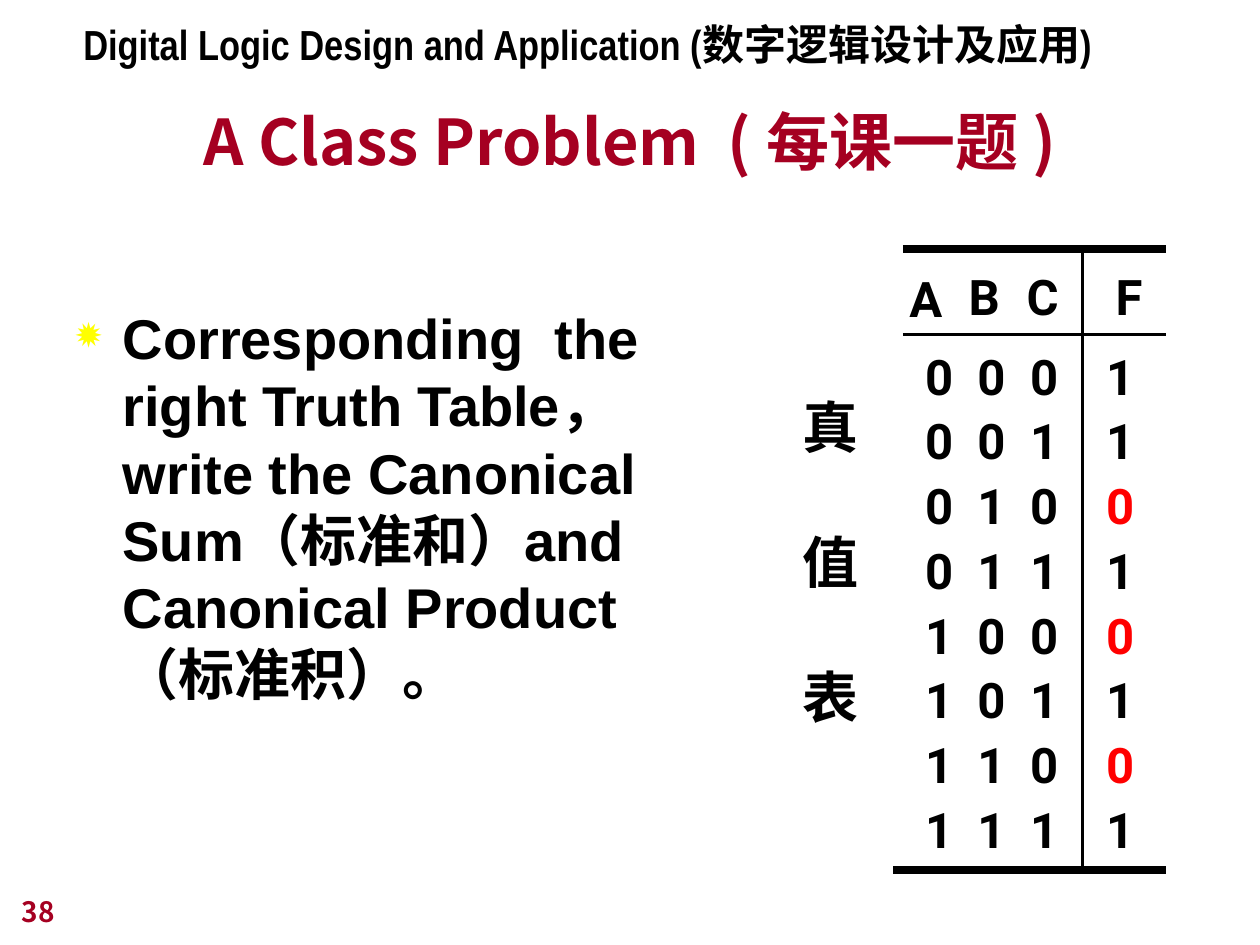
"""Build a class-problem slide with a truth table."""
from lxml.etree import SubElement
from pptx import Presentation
from pptx.dml.color import RGBColor
from pptx.enum.shapes import MSO_CONNECTOR
from pptx.enum.text import MSO_ANCHOR, PP_ALIGN
from pptx.oxml.ns import qn
from pptx.util import Pt

COLORS = {"black": "000000", "title": "A50021", "zero": "FF0000", "bullet": "FFFF00"}
CJK = "Noto Sans CJK JP"

COURSE = "Digital Logic Design and Application (数字逻辑设计及应用)"
TITLE = "A Class Problem  ( 每课一题 )"
TASK = ("Corresponding  the right Truth Table， write the Canonical Sum"
        "（标准和）and Canonical Product（标准积）。")
LABEL = "真值表"
PAGE = "38"
OUTPUTS = "11010101"
HEADINGS = [("A", 512.5, 150, 34), ("B", 546.5, 149, 33),
            ("C", 579.5, 149, 32), ("F", 630.5, 149, 30)]
RULES = [(516, 191, 666, 191, 1.5), (618.5, 142.5, 618.5, 497, 1.5),
         (516, 142.5, 666, 142.5, 4.5), (510.5, 497, 666, 497, 4.5)]
TAB_STOPS = [30, 60, 103.5]


def add_box(s, x, y, w, h, wrap=False, anchor=MSO_ANCHOR.TOP):
    tf = s.shapes.add_textbox(Pt(x), Pt(y), Pt(w), Pt(h)).text_frame
    tf.word_wrap = wrap
    tf.vertical_anchor = anchor
    return tf


def add_run(p, text, size, font, color="black"):
    r = p.add_run()
    r.text = text
    r.font.size = Pt(size)
    r.font.bold = True
    r.font.name = font
    r.font.color.rgb = RGBColor.from_string(COLORS[color])
    SubElement(r._r.get_or_add_rPr(), qn("a:ea"), typeface=CJK)


def add_paragraph(tf, index):
    return tf.add_paragraph() if index else tf.paragraphs[0]


def add_bullet(p, char, color, percent, indent):
    pPr = p._p.get_or_add_pPr()
    pPr.set("marL", str(Pt(indent)))
    pPr.set("indent", str(-Pt(indent)))
    clr = SubElement(pPr, qn("a:buClr"))
    SubElement(clr, qn("a:srgbClr"), val=COLORS[color])
    SubElement(pPr, qn("a:buSzPct"), val=str(percent * 1000))
    SubElement(pPr, qn("a:buChar"), char=char)


def add_tabs(p, stops):
    tabs = SubElement(p._p.get_or_add_pPr(), qn("a:tabLst"))
    for stop in stops:
        SubElement(tabs, qn("a:tab"), pos=str(Pt(stop)), algn="l")


def add_rule(s, x1, y1, x2, y2, width):
    line = s.shapes.add_connector(MSO_CONNECTOR.STRAIGHT, Pt(x1), Pt(y1), Pt(x2), Pt(y2))
    line.line.width = Pt(width)
    line.line.color.rgb = RGBColor.from_string(COLORS["black"])
    SubElement(line._element.spPr, qn("a:effectLst"))


def add_truth_table(s):
    tf = add_box(s, 521.5, 191, 137.5, 303, wrap=True)
    for i, output in enumerate(OUTPUTS):
        p = add_paragraph(tf, i)
        add_tabs(p, TAB_STOPS)
        p.line_spacing = 1.1
        add_run(p, "\t".join(f"{i:03b}") + "\t", 28, "Roboto")
        add_run(p, output, 28, "Roboto", "zero" if output == "0" else "black")
    for text, x, y, w in HEADINGS:
        add_run(add_box(s, x, y, w, 41).paragraphs[0], text, 28, "Roboto")
    for rule in RULES:
        add_rule(s, *rule)


def main():
    prs = Presentation()
    prs.slide_width, prs.slide_height = Pt(720), Pt(540)
    s = prs.slides.add_slide(prs.slide_layouts[6])

    p = add_box(s, 54, 45.5, 612, 60, True, MSO_ANCHOR.BOTTOM).paragraphs[0]
    p.alignment = PP_ALIGN.CENTER
    add_run(p, TITLE, 36, CJK, "title")

    p = add_box(s, 36, 170, 369.5, 351, True).paragraphs[0]
    add_bullet(p, "✹", "bullet", 80, 27)
    add_run(p, TASK, 32, "Arial")

    add_run(add_box(s, 40.5, 7, 602.5, 36).paragraphs[0], COURSE, 24, "Arial Narrow")
    add_truth_table(s)

    tf = add_box(s, 451.5, 221, 46, 199.5)
    for i, char in enumerate(LABEL):
        p = add_paragraph(tf, i)
        if i:
            p.space_before = Pt(38.5)
        add_run(p, char, 32, "Roboto")

    tf = add_box(s, 5.5, 498, 150, 36, True, MSO_ANCHOR.BOTTOM)
    add_run(tf.paragraphs[0], PAGE, 16, CJK, "title")
    prs.save("out.pptx")


if __name__ == "__main__":
    main()
